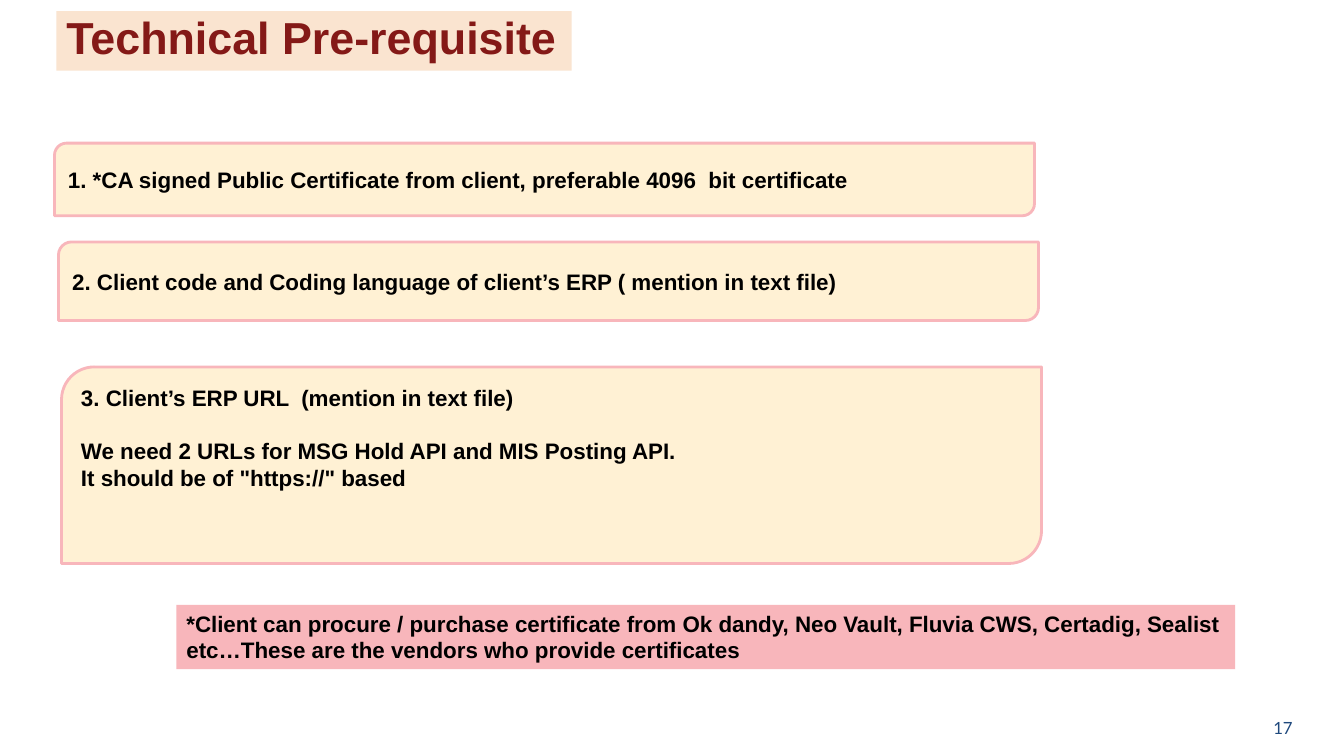
from pptx import Presentation
from pptx.dml.color import RGBColor
from pptx.enum.shapes import MSO_SHAPE
from pptx.enum.text import MSO_ANCHOR, PP_ALIGN
from pptx.util import Inches, Pt

# Content
COLORS = {
    "title": "841917", "title_fill": "FAE4D0", "card": "FFF1D4",
    "pink": "F8B6BB", "text": "000000", "number": "1F497D",
}
TITLE = "Technical Pre-requisite"
CARD_WIDTH = 9.72
# left, top, height, anchor, paragraphs as (text, space before in points)
CARDS = [
    (0.54, 1.42, 0.72, MSO_ANCHOR.MIDDLE, [
        ("1. *CA signed Public Certificate from client, preferable 4096  bit certificate", 0)]),
    (0.58, 2.4, 0.78, MSO_ANCHOR.MIDDLE, [
        ("2. Client code and Coding language of client’s ERP ( mention in text file)", 0)]),
    (0.61, 3.64, 1.95, MSO_ANCHOR.TOP, [
        ("3. Client’s ERP URL  (mention in text file)", 0),
        ("We need 2 URLs for MSG Hold API and MIS Posting API.", 18.4),
        ('It should be of "https://" based', 0)]),
]
NOTE = ("*Client can procure / purchase certificate from Ok dandy, Neo Vault, "
        "Fluvia CWS, Certadig, Sealist etc…These are the vendors who provide certificates")
PAGE_NUMBER = "17"


def color(name):
    return RGBColor.from_string(COLORS[name])


def add_box(slide, preset, area, fill, line=None):
    shape = slide.shapes.add_shape(preset, *map(Inches, area))
    shape.shadow.inherit = False
    shape.fill.solid()
    shape.fill.fore_color.rgb = color(fill)
    if line:
        shape.line.color.rgb = color(line)
        shape.line.width = Pt(2)
    else:
        shape.line.fill.background()
    return shape


def write(shape, paragraphs, size=16, ink="text", font="Arial", bold=True,
          anchor=MSO_ANCHOR.TOP, align=PP_ALIGN.LEFT):
    frame = shape.text_frame
    frame.word_wrap = True
    frame.vertical_anchor = anchor
    for index, (text, space_before) in enumerate(paragraphs):
        paragraph = frame.add_paragraph() if index else frame.paragraphs[0]
        paragraph.alignment = align
        if space_before:
            paragraph.space_before = Pt(space_before)
        run = paragraph.add_run()
        run.text = text
        run.font.name = font
        run.font.size = Pt(size)
        run.font.bold = bold
        run.font.color.rgb = color(ink)


presentation = Presentation()
presentation.slide_width = Inches(13.33)
presentation.slide_height = Inches(7.5)
slide = presentation.slides.add_slide(presentation.slide_layouts[6])

# Title
title = add_box(slide, MSO_SHAPE.RECTANGLE, (0.56, 0.11, 5.11, 0.59), "title_fill")
write(title, [(TITLE, 0)], size=32, ink="title")
title.text_frame.paragraphs[0].line_spacing = 0.9

# Requirement cards
for left, top, height, anchor, paragraphs in CARDS:
    card = add_box(slide, MSO_SHAPE.ROUND_2_DIAG_RECTANGLE,
                   (left, top, CARD_WIDTH, height), "card", "pink")
    write(card, paragraphs, anchor=anchor)
    if anchor == MSO_ANCHOR.TOP:
        card.text_frame.margin_top = Inches(0.08)

# Vendor note
note = add_box(slide, MSO_SHAPE.RECTANGLE, (1.75, 6, 10.5, 0.64), "pink")
write(note, [(NOTE, 0)])

# Page number
number = slide.shapes.add_textbox(*map(Inches, (12.25, 7.02, 0.67, 0.4)))
write(number, [(PAGE_NUMBER, 0)], size=12, ink="number", font="Lato", bold=False,
      anchor=MSO_ANCHOR.MIDDLE, align=PP_ALIGN.RIGHT)

presentation.save("out.pptx")
